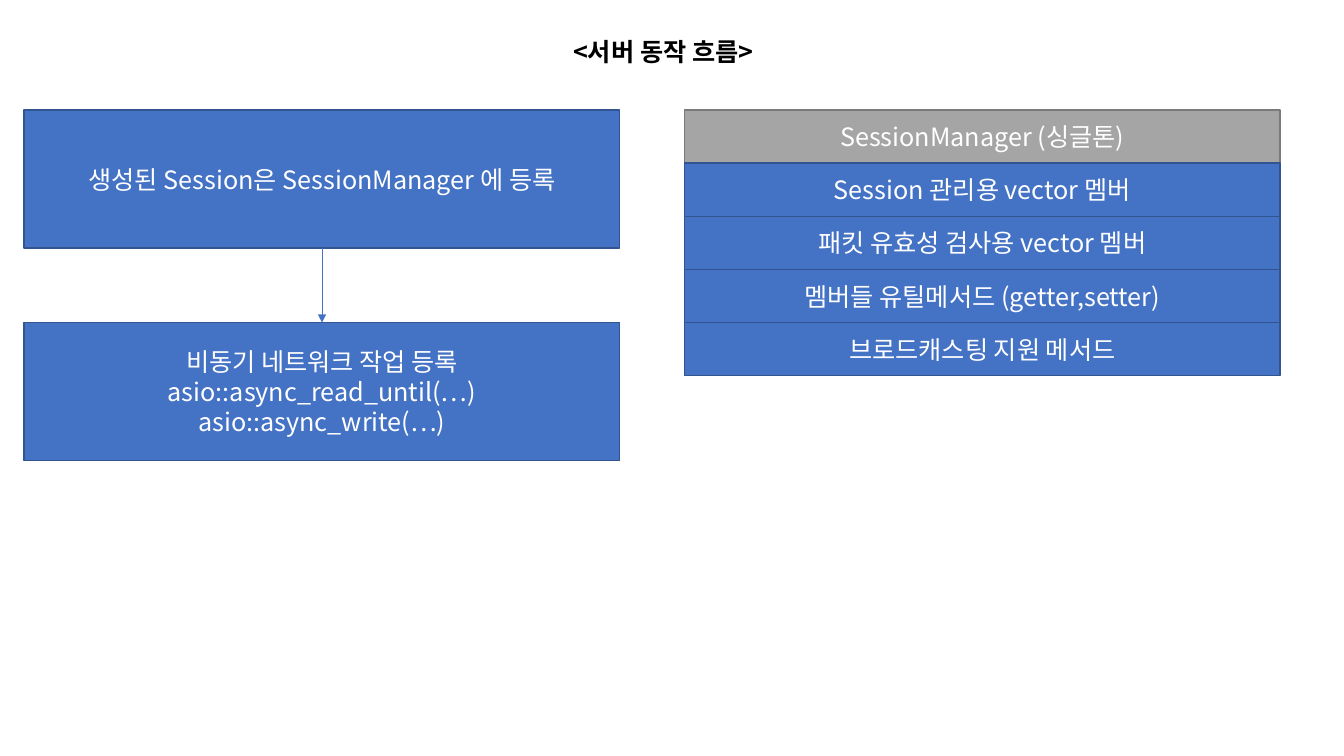
from dataclasses import dataclass

from pptx import Presentation
from pptx import util as u
from pptx.dml.color import RGBColor
from pptx.enum import shapes, text
from pptx.oxml.ns import qn
from lxml import etree

TITLE = "<서버 동작 흐름>"
STEPS = [
    ["생성된 Session은 SessionManager 에 등록"],
    ["비동기 네트워크 작업 등록", "asio::async_read_until(…)", "asio::async_write(…)"],
]
MANAGER = "SessionManager (싱글톤)"
MEMBERS = [
    "Session 관리용 vector 멤버",
    "패킷 유효성 검사용 vector 멤버",
    "멤버들 유틸메서드 (getter,setter)",
    "브로드캐스팅 지원 메서드",
]


@dataclass(frozen=True)
class Theme:
    font: str = "Noto Sans CJK KR"
    size: int = 18
    blue: str = "4472C4"
    blue_edge: str = "325491"
    gray: str = "A5A5A5"
    gray_edge: str = "7A7A7A"
    white: str = "FFFFFF"
    black: str = "000000"
    edge_width: float = 1
    arrow_width: float = 0.5


THEME = Theme()
TOP, WIDTH = 2.77, 15.01
STEP_LEFT, STEP_HEIGHT, STEP_PITCH = 0.61, 3.48, 5.36
ROW_LEFT, ROW_HEIGHT = 17.25, 1.34


def color(code):
    return RGBColor.from_string(code)


def write(box, lines, ink, bold=False):
    frame = box.text_frame
    frame.word_wrap = True
    for index, line in enumerate(lines):
        para = frame.paragraphs[0] if index == 0 else frame.add_paragraph()
        para.alignment = text.PP_ALIGN.CENTER
        span = para.add_run()
        span.text = line
        span.font.name = THEME.font
        span.font.size = u.Pt(THEME.size)
        span.font.bold = bold
        span.font.color.rgb = color(ink)
        east_asian = etree.SubElement(span.font._element, qn("a:ea"))
        east_asian.set("typeface", THEME.font)


def add_block(page, left, top, height, lines, fill=THEME.blue, edge=THEME.blue_edge):
    box = page.shapes.add_shape(
        shapes.MSO_SHAPE.RECTANGLE, u.Cm(left), u.Cm(top), u.Cm(WIDTH), u.Cm(height))
    box.shadow.inherit = False
    box.fill.solid()
    box.fill.fore_color.rgb = color(fill)
    box.line.color.rgb = color(edge)
    box.line.width = u.Pt(THEME.edge_width)
    box.text_frame.vertical_anchor = text.MSO_ANCHOR.MIDDLE
    write(box, lines, THEME.white)
    return box


def add_arrow(page, upper, lower):
    """Join the bottom of one block to the top of the next."""
    arrow = page.shapes.add_connector(shapes.MSO_CONNECTOR.STRAIGHT, 0, 0, 0, 0)
    arrow.begin_connect(upper, 2)
    arrow.end_connect(lower, 0)
    arrow.line.color.rgb = color(THEME.blue)
    arrow.line.width = u.Pt(THEME.arrow_width)
    etree.SubElement(arrow.line._get_or_add_ln(), qn("a:tailEnd")).set("type", "triangle")
    etree.SubElement(arrow._element.spPr, qn("a:effectLst"))


def main():
    deck = Presentation()
    deck.slide_width, deck.slide_height = u.Cm(33.87), u.Cm(19.05)
    page = deck.slides.add_slide(deck.slide_layouts[6])

    title = page.shapes.add_textbox(u.Cm(7.85), u.Cm(0.79), u.Cm(17.73), u.Cm(1.02))
    write(title, [TITLE], THEME.black, bold=True)

    steps = [add_block(page, STEP_LEFT, TOP + index * STEP_PITCH, STEP_HEIGHT, lines)
             for index, lines in enumerate(STEPS)]
    for upper, lower in zip(steps, steps[1:]):
        add_arrow(page, upper, lower)

    add_block(page, ROW_LEFT, TOP, ROW_HEIGHT, [MANAGER], THEME.gray, THEME.gray_edge)
    for row, member in enumerate(MEMBERS, start=1):
        add_block(page, ROW_LEFT, TOP + row * ROW_HEIGHT, ROW_HEIGHT, [member])

    deck.save("out.pptx")


if __name__ == "__main__":
    main()
